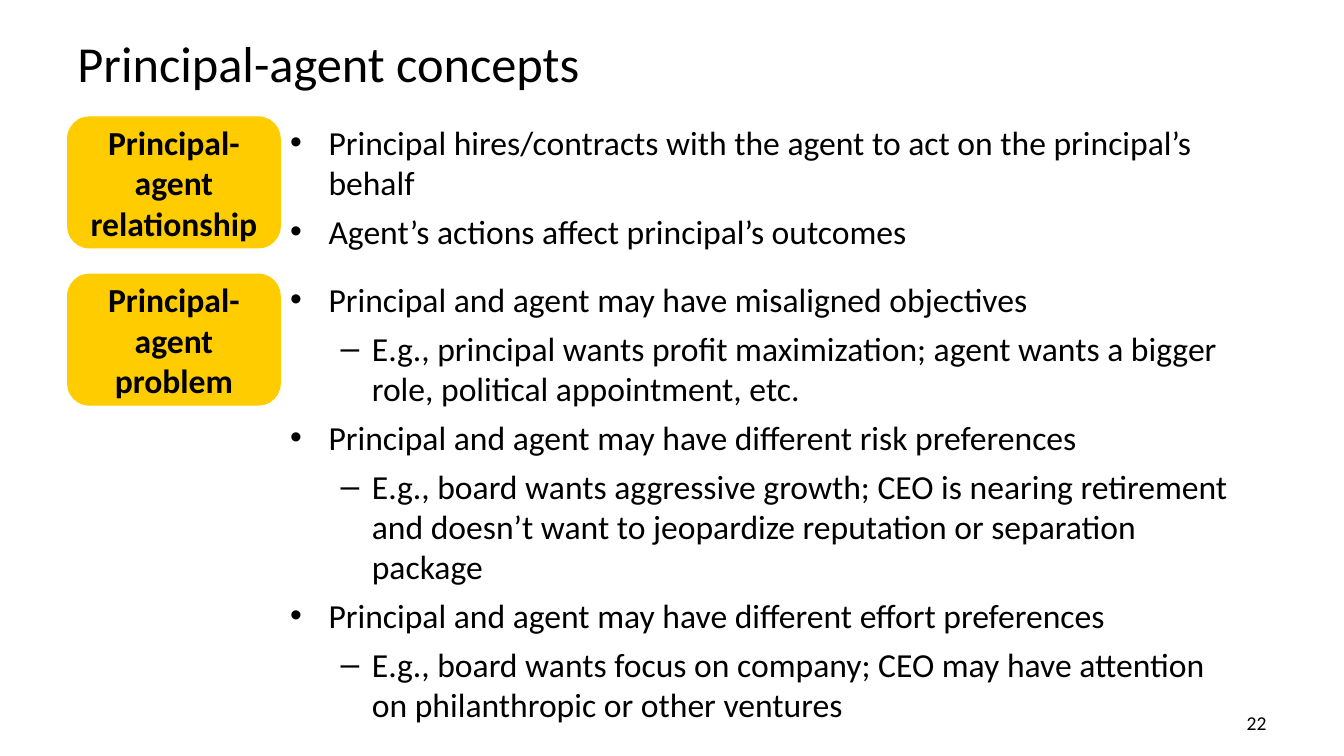
import pptx
import pptx.dml.color
import pptx.enum.shapes
import pptx.enum.text
import pptx.oxml.ns
import pptx.util
from lxml import etree

Inches = pptx.util.Inches
ALIGN = pptx.enum.text.PP_ALIGN
ANCHOR = pptx.enum.text.MSO_ANCHOR
WIDTH, HEIGHT = 13.33, 7.5
MARGIN = 0.67
LABEL_WIDTH, LABEL_HEIGHT = 2.11, 1.3
POINTS_WIDTH = 9.51
BULLETS = [("•", 0.38, 0.38), ("–", 0.81, 0.31)]

CONCEPTS = [
    (1.16, 1.4, "Principal-agent relationship", [
        (0, "Principal hires/contracts with the agent to act on the principal’s behalf"),
        (0, "Agent’s actions affect principal’s outcomes"),
    ]),
    (2.72, 4.56, "Principal-agent problem", [
        (0, "Principal and agent may have misaligned objectives"),
        (1, "E.g., principal wants profit maximization; agent wants a bigger role, "
            "political appointment, etc."),
        (0, "Principal and agent may have different risk preferences"),
        (1, "E.g., board wants aggressive growth; CEO is nearing retirement and "
            "doesn’t want to jeopardize reputation or separation package"),
        (0, "Principal and agent may have different effort preferences"),
        (1, "E.g., board wants focus on company; CEO may have attention on "
            "philanthropic or other ventures"),
    ]),
]


def colour(hex_code):
    """Return the colour for a hex string."""
    return pptx.dml.color.RGBColor.from_string(hex_code)


def apply_format(target, values):
    """Set each named format value on the target."""
    for name, value in values.items():
        setattr(target, name, value)


def write(paragraph, words, size, bold=False):
    """Put words into a paragraph in the slide's typeface."""
    paragraph.text = words
    apply_format(paragraph.font, {"name": "Calibri", "size": pptx.util.Pt(size), "bold": bold})
    paragraph.font.color.rgb = colour("000000")


def add_bullet(paragraph, level):
    """Give a paragraph the bullet and hanging indent of its level."""
    mark, indent, hang = BULLETS[level]
    paragraph.level = level
    properties = paragraph._p.get_or_add_pPr()
    properties.set("marL", str(Inches(indent)))
    properties.set("indent", str(-Inches(hang)))
    etree.SubElement(properties, pptx.oxml.ns.qn("a:buFont"), typeface="Arial")
    etree.SubElement(properties, pptx.oxml.ns.qn("a:buChar"), char=mark)


def add_text(slide, box, words, size, align=ALIGN.LEFT, anchor=ANCHOR.TOP):
    """Place one line of text in a box."""
    frame = slide.shapes.add_textbox(*map(Inches, box)).text_frame
    apply_format(frame, {"word_wrap": True, "vertical_anchor": anchor})
    frame.paragraphs[0].alignment = align
    write(frame.paragraphs[0], words, size)


def add_label(slide, box, words):
    """Place a concept's name in a yellow rounded box."""
    label = slide.shapes.add_shape(
        pptx.enum.shapes.MSO_SHAPE.ROUNDED_RECTANGLE, *map(Inches, box))
    label.shadow.inherit = False
    label.fill.solid()
    label.fill.fore_color.rgb = colour("FFCC00")
    label.line.color.rgb = colour("FFCC00")
    label.line.width = pptx.util.Pt(0.75)
    frame = label.text_frame
    apply_format(frame, {"word_wrap": True, "vertical_anchor": ANCHOR.MIDDLE,
                         "margin_left": 0, "margin_right": 0})
    frame.paragraphs[0].alignment = ALIGN.CENTER
    write(frame.paragraphs[0], words, 24, bold=True)


def add_points(slide, box, points):
    """Place a concept's bulleted points in a box."""
    frame = slide.shapes.add_textbox(*map(Inches, box)).text_frame
    frame.word_wrap = True
    for index, (level, words) in enumerate(points):
        paragraph = frame.add_paragraph() if index else frame.paragraphs[0]
        add_bullet(paragraph, level)
        paragraph.space_after = pptx.util.Pt(6)
        write(paragraph, words, 24)


def add_concept(slide, box, name, points):
    """Place a concept's label and, to its right, its points."""
    left, top, width, height = box
    add_label(slide, (left, top, LABEL_WIDTH, LABEL_HEIGHT), name)
    add_points(slide, (left + LABEL_WIDTH, top, width - LABEL_WIDTH, height), points)


def build_concepts_slide(presentation):
    """Add the slide with its title, concepts and page number."""
    slide = presentation.slides.add_slide(presentation.slide_layouts[6])
    add_text(slide, (MARGIN, 0.26, WIDTH - 2 * MARGIN, 0.71), "Principal-agent concepts",
             36, anchor=ANCHOR.MIDDLE)
    number_width = 3.11
    add_text(slide, (WIDTH - MARGIN - number_width, 7, number_width, 0.34), "22",
             14, align=ALIGN.RIGHT)
    for top, height, name, points in CONCEPTS:
        add_concept(slide, (MARGIN, top, LABEL_WIDTH + POINTS_WIDTH, height), name, points)


def main():
    """Build and save the presentation."""
    presentation = pptx.Presentation()
    apply_format(presentation, {"slide_width": Inches(WIDTH), "slide_height": Inches(HEIGHT)})
    build_concepts_slide(presentation)
    presentation.save("out.pptx")


if __name__ == "__main__":
    main()
